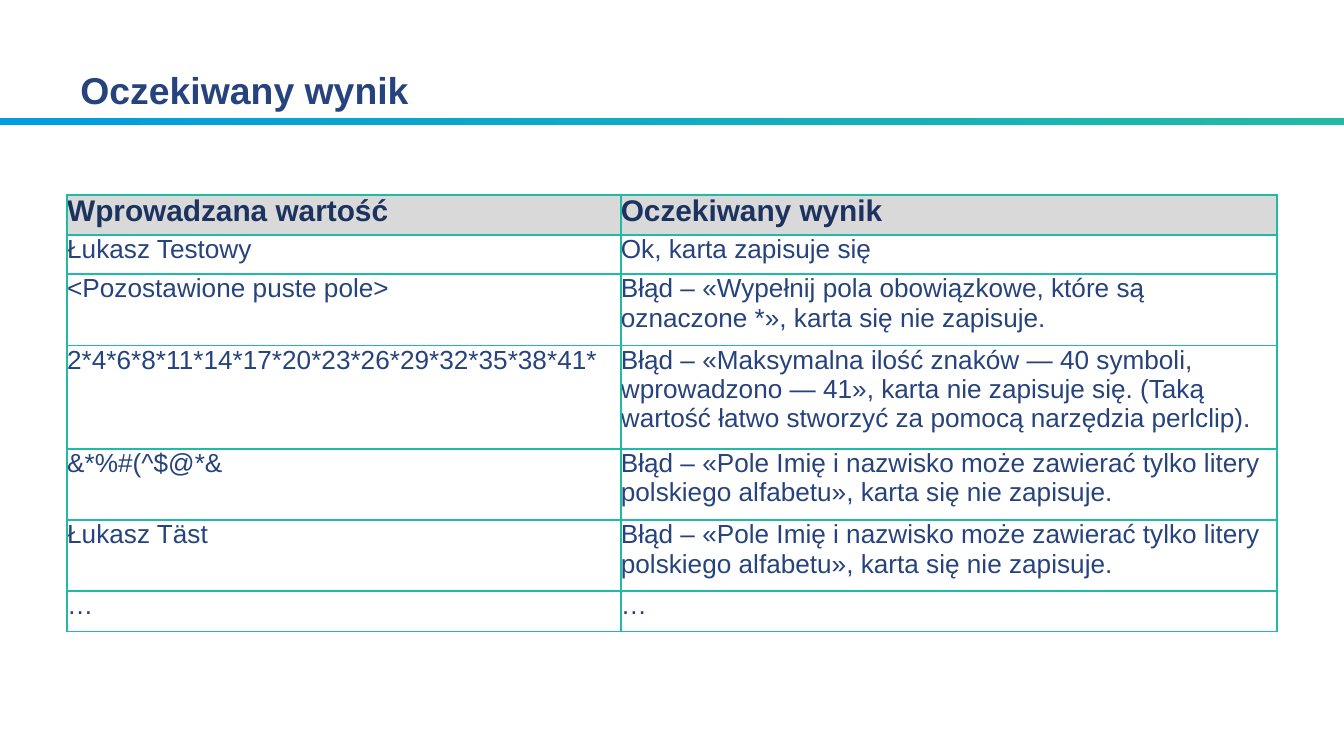
import dataclasses

import lxml.etree
import pptx
import pptx.dml.color
import pptx.enum.shapes
import pptx.enum.text
import pptx.oxml.ns
import pptx.util

Inches = pptx.util.Inches

SLIDE_WIDTH = 10
SLIDE_HEIGHT = SLIDE_WIDTH * 9 / 16

COLORS = {
    "navy": "26437E",
    "dark_navy": "1C325F",
    "blue": "009DE0",
    "teal": "20BBA5",
    "grey": "D9D9D9",
}


@dataclasses.dataclass(frozen=True)
class TextStyle:
    size: int
    color: str
    bold: bool


@dataclasses.dataclass(frozen=True)
class TestRow:
    value: str
    result: str
    height: float


TITLE_STYLE = TextStyle(20, "navy", True)
HEADER_STYLE = TextStyle(16, "dark_navy", True)
BODY_STYLE = TextStyle(14, "navy", False)

LETTERS_ERROR = (
    "Błąd – «Pole Imię i nazwisko może zawierać tylko litery polskiego alfabetu», "
    "karta się nie zapisuje."
)
COLUMN_WIDTHS = (4.12, 4.88)
ROWS = (
    TestRow("Wprowadzana wartość", "Oczekiwany wynik", 0.3),
    TestRow("Łukasz Testowy", "Ok, karta zapisuje się", 0.29),
    TestRow(
        "<Pozostawione puste pole>",
        "Błąd – «Wypełnij pola obowiązkowe, które są oznaczone *», karta się nie zapisuje.",
        0.53,
    ),
    TestRow(
        "2*4*6*8*11*14*17*20*23*26*29*32*35*38*41*",
        "Błąd – «Maksymalna ilość znaków — 40 symboli, wprowadzono — 41», karta nie "
        "zapisuje się. (Taką wartość łatwo stworzyć za pomocą narzędzia perlclip).",
        0.77,
    ),
    TestRow("&*%#(^$@*&", LETTERS_ERROR, 0.53),
    TestRow("Łukasz Täst", LETTERS_ERROR, 0.53),
    TestRow("…", "…", 0.3),
)


def rgb(name: str) -> pptx.dml.color.RGBColor:
    return pptx.dml.color.RGBColor.from_string(COLORS[name])


def write_text(text_frame, text: str, style: TextStyle) -> None:
    paragraph = text_frame.paragraphs[0]
    run = paragraph.add_run()
    run.text = text
    font_format = {"name": "Arial", "size": pptx.util.Pt(style.size), "bold": style.bold}
    for attribute, value in font_format.items():
        setattr(run.font, attribute, value)
    run.font.color.rgb = rgb(style.color)


def add_borders(cell, color: str, points: float) -> None:
    properties = cell._tc.get_or_add_tcPr()
    qn = pptx.oxml.ns.qn
    # Border lines come before the fill in the cell properties
    for position, side in enumerate(("a:lnL", "a:lnR", "a:lnT", "a:lnB")):
        line = lxml.etree.Element(qn(side), w=str(pptx.util.Pt(points)))
        fill = lxml.etree.SubElement(line, qn("a:solidFill"))
        lxml.etree.SubElement(fill, qn("a:srgbClr"), val=COLORS[color])
        properties.insert(position, line)


def add_title_bar(slide) -> None:
    bar = slide.shapes.add_shape(
        pptx.enum.shapes.MSO_SHAPE.RECTANGLE, 0, Inches(0.88), Inches(SLIDE_WIDTH), Inches(0.05)
    )
    bar.shadow.inherit = False
    bar.line.fill.background()
    bar.fill.gradient()
    bar.fill.gradient_angle = 0
    for stop, color in zip(bar.fill.gradient_stops, ("blue", "teal")):
        stop.color.rgb = rgb(color)


def add_title(slide, text: str) -> None:
    title = slide.shapes.add_textbox(Inches(0.5), Inches(0.12), Inches(9), Inches(0.76))
    title.text_frame.word_wrap = True
    title.text_frame.vertical_anchor = pptx.enum.text.MSO_ANCHOR.BOTTOM
    write_text(title.text_frame, text, TITLE_STYLE)


def fill_cell(cell, text: str, is_header: bool) -> None:
    for side in ("left", "right", "top", "bottom"):
        setattr(cell, f"margin_{side}", 0)
    if is_header:
        cell.fill.solid()
        cell.fill.fore_color.rgb = rgb("grey")
    else:
        cell.fill.background()
    add_borders(cell, "teal", 1)
    write_text(cell.text_frame, text, HEADER_STYLE if is_header else BODY_STYLE)


def add_results_table(slide, rows: tuple[TestRow, ...]) -> None:
    table = slide.shapes.add_table(
        len(rows),
        len(COLUMN_WIDTHS),
        Inches(0.5),
        Inches(1.45),
        Inches(sum(COLUMN_WIDTHS)),
        Inches(sum(row.height for row in rows)),
    ).table
    table.horz_banding = False
    for column, width in zip(table.columns, COLUMN_WIDTHS):
        column.width = Inches(width)
    for row_index, row in enumerate(rows):
        table.rows[row_index].height = Inches(row.height)
        for column_index, text in enumerate((row.value, row.result)):
            fill_cell(table.cell(row_index, column_index), text, row_index == 0)


def main() -> None:
    presentation = pptx.Presentation()
    presentation.slide_width = Inches(SLIDE_WIDTH)
    presentation.slide_height = Inches(SLIDE_HEIGHT)
    slide = presentation.slides.add_slide(presentation.slide_layouts[6])

    # Heading with its gradient rule
    add_title_bar(slide)
    add_title(slide, "Oczekiwany wynik")

    # Test values and expected results
    add_results_table(slide, ROWS)

    presentation.save("out.pptx")


if __name__ == "__main__":
    main()
